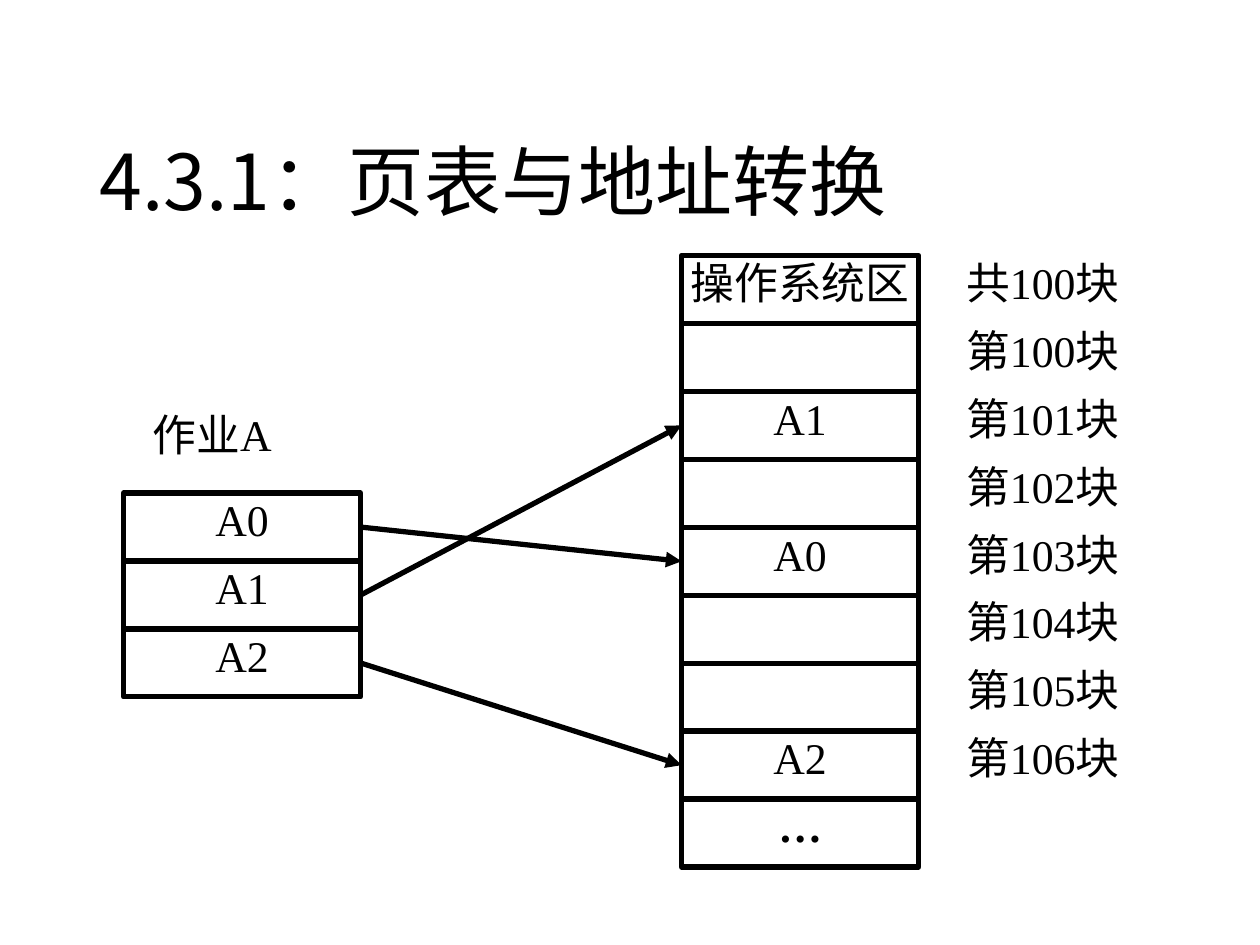
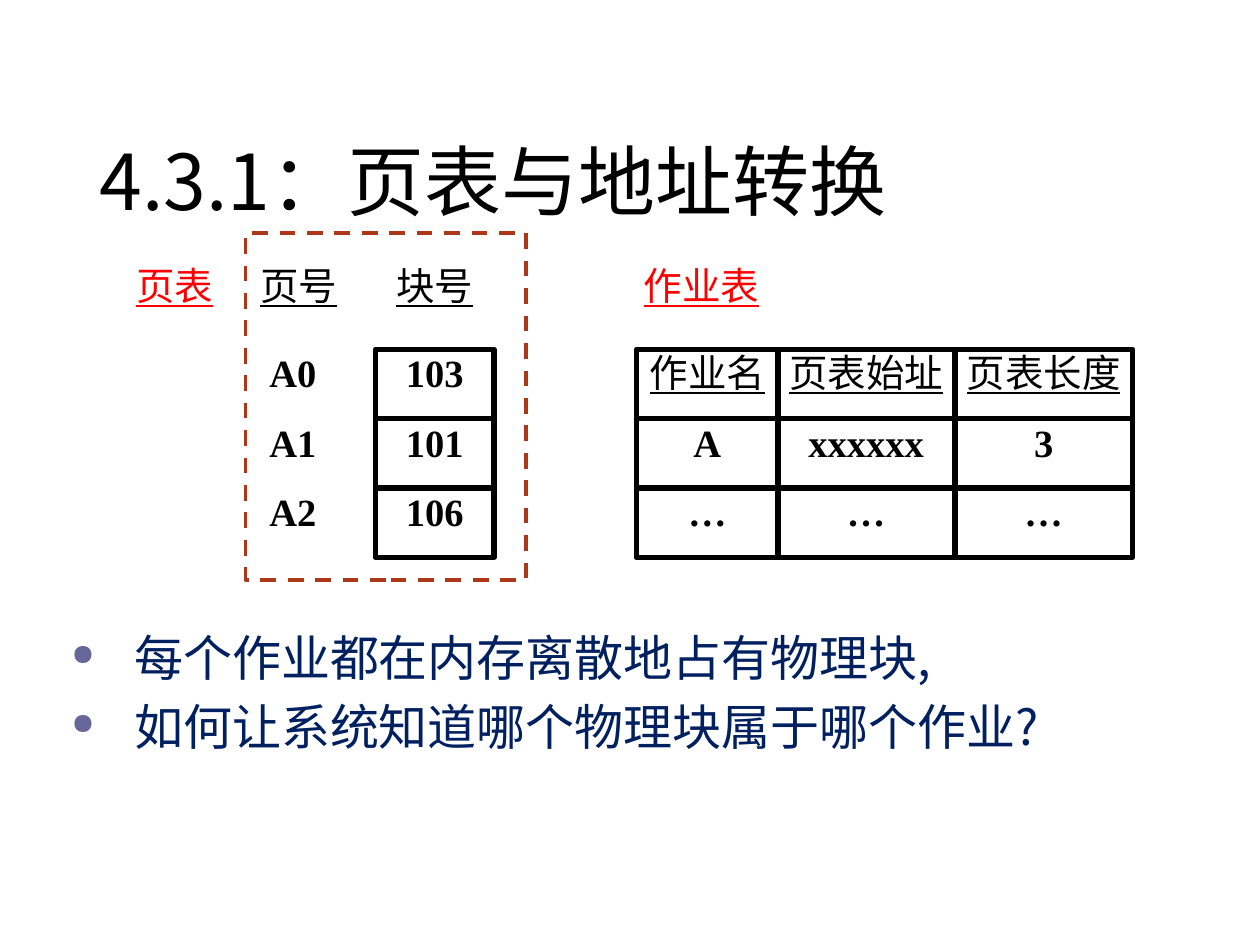
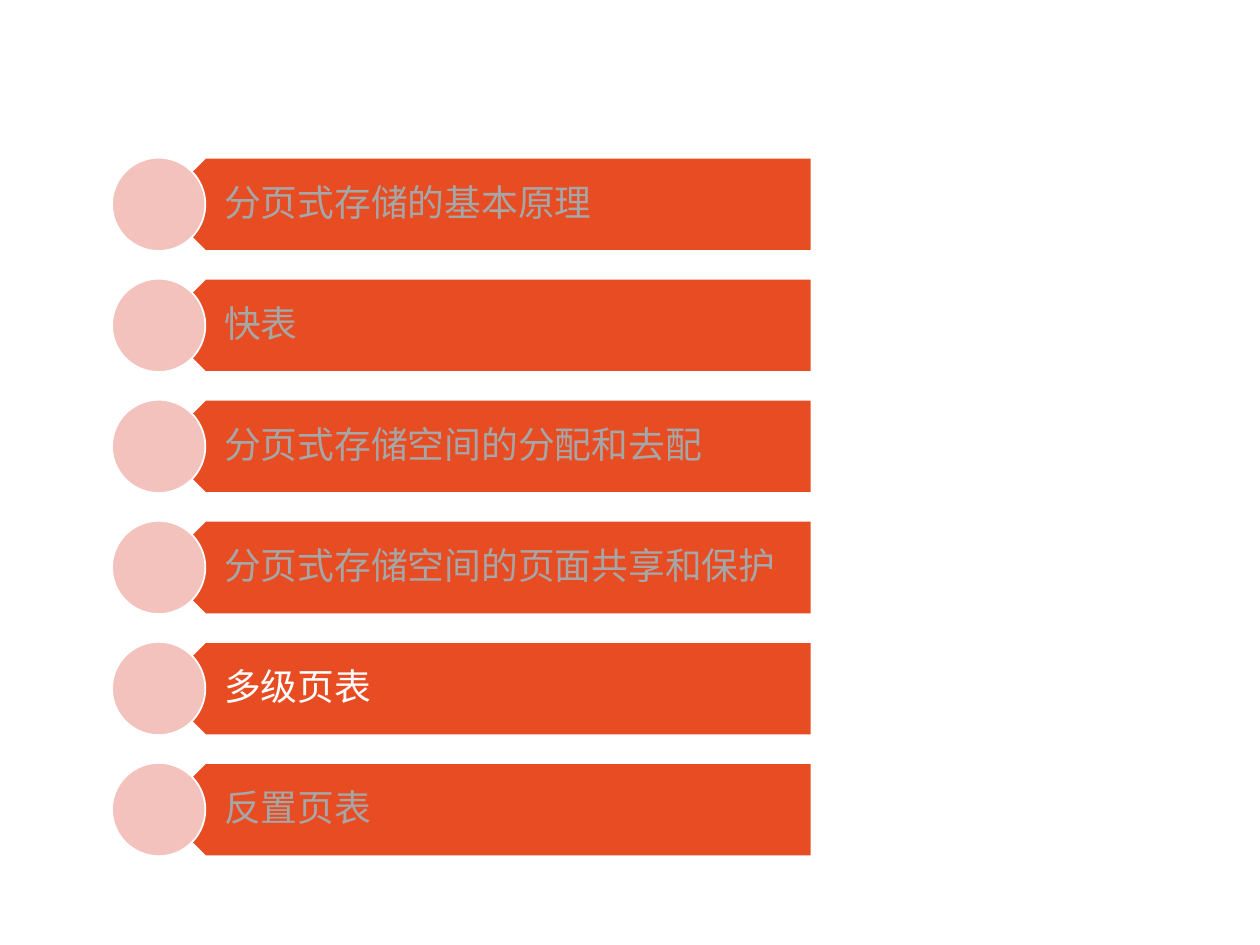
"""Build three slides on page tables and address translation."""
from lxml.etree import SubElement
from pptx import Presentation
from pptx.dml.color import RGBColor
from pptx.enum.dml import MSO_LINE as Dash
from pptx.enum.shapes import MSO_CONNECTOR as Link, MSO_SHAPE as Preset
from pptx.enum.text import MSO_ANCHOR as Anchor, MSO_AUTO_SIZE as AutoSize, PP_ALIGN as Align
from pptx.oxml.ns import qn
from pptx.util import Cm, Pt

BLACK = RGBColor(0x00, 0x00, 0x00)
WHITE = RGBColor(0xFF, 0xFF, 0xFF)
RED = RGBColor(0xFF, 0x00, 0x00)
NAVY = RGBColor(0x00, 0x20, 0x60)
RUST = RGBColor(0xAC, 0x38, 0x19)
ORANGE = RGBColor(0xE8, 0x4C, 0x22)
PINK = RGBColor(0xF4, 0xC2, 0xBD)
GREY = RGBColor(0xA6, 0xA6, 0xA6)
SANS, SERIF, LATIN = "Noto Sans CJK SC", "Times New Roman", "Calibri"
TITLE_ONLY, BLANK = 5, 6
TITLE = "4.3.1：页表与地址转换"


class Deck:
    def __init__(self):
        self.prs = Presentation()
        self.prs.slide_width, self.prs.slide_height = Cm(25.4), Cm(19.05)
        self.slide = None
        self.size = 25

    def new_slide(self, title=None, size=25):
        layout = TITLE_ONLY if title else BLANK
        self.slide = self.prs.slides.add_slide(self.prs.slide_layouts[layout])
        self.size = size
        if title:
            heading = self.slide.shapes.title
            heading.left, heading.top = Cm(1.75), Cm(1.02)
            heading.width, heading.height = Cm(21.89), Cm(3.68)
            frame = heading.text_frame
            frame.text = title
            frame.auto_size, frame.vertical_anchor = AutoSize.NONE, Anchor.BOTTOM
            frame.paragraphs[0].alignment = Align.LEFT
            frame.paragraphs[0].line_spacing = 0.9
            self.style(frame.paragraphs[0], 44, SANS, BLACK)

    def style(self, paragraph, size, face, color, bold=False, underline=False):
        for run in paragraph.runs:
            font = run.font
            font.size, font.name, font.bold, font.underline = Pt(size), face, bold, underline
            font.color.rgb = color
            SubElement(font._element, qn("a:ea"), typeface=SANS)

    def shape(self, preset, x, y, w, h, fill=None, line=BLACK, weight=3):
        item = self.slide.shapes.add_shape(preset, Cm(x), Cm(y), Cm(w), Cm(h))
        item.shadow.inherit = False
        if fill is None:
            item.fill.background()
        else:
            item.fill.solid()
            item.fill.fore_color.rgb = fill
        item.line.color.rgb, item.line.width = line, Pt(weight)
        return item

    def box(self, x, y, w, h):
        return self.slide.shapes.add_textbox(Cm(x), Cm(y), Cm(w), Cm(h))

    def put_text(self, item, text, color=BLACK, **look):
        frame = item.text_frame
        frame.margin_left = frame.margin_right = frame.margin_top = frame.margin_bottom = 0
        frame.word_wrap, frame.vertical_anchor = True, Anchor.TOP
        frame.text = text
        frame.paragraphs[0].alignment = Align.CENTER
        self.style(frame.paragraphs[0], self.size, SERIF, color, **look)

    def label(self, text, x, y, w, h, **look):
        self.put_text(self.box(x, y, w, h), text, **look)

    def cell(self, text, x, y, w, h, **look):
        item = self.shape(Preset.RECTANGLE, x, y, w, h)
        if text:
            self.put_text(item, text, **look)

    def arrow(self, x1, y1, x2, y2):
        link = self.slide.shapes.add_connector(Link.STRAIGHT, Cm(x1), Cm(y1), Cm(x2), Cm(y2))
        link.line.color.rgb, link.line.width = BLACK, Pt(3)
        props = link._element.spPr
        SubElement(props.find(qn("a:ln")), qn("a:tailEnd"), type="triangle")
        SubElement(props, qn("a:effectLst"))

    def bullets(self, lines, x, y, w, h):
        frame = self.box(x, y, w, h).text_frame
        frame.word_wrap = True
        for index, line in enumerate(lines):
            paragraph = frame.paragraphs[0] if index == 0 else frame.add_paragraph()
            paragraph.text = line
            paragraph.space_before = Pt(6 if index else 0)
            props = paragraph._p.get_or_add_pPr()
            props.set("marL", str(Cm(1.27)))
            props.set("indent", str(-Cm(1.27)))
            tint = SubElement(props, qn("a:buClr"))
            SubElement(tint, qn("a:srgbClr"), val="666699")
            SubElement(props, qn("a:buSzPct"), val="60000")
            SubElement(props, qn("a:buChar"), char="●")
            self.style(paragraph, 28, SANS, NAVY)

    def topic(self, text, y, color):
        bar = self.shape(Preset.PENTAGON, 3.2, y, 13.16, 1.88, ORANGE, WHITE, 1)
        bar.rotation = 180
        frame = self.box(3.68, y, 12.67, 1.88).text_frame
        frame.word_wrap, frame.vertical_anchor = True, Anchor.MIDDLE
        frame.margin_left, frame.margin_right = Cm(0.84), Cm(0.41)
        frame.margin_top = frame.margin_bottom = Cm(0.23)
        frame.text = text
        frame.paragraphs[0].line_spacing = 0.9
        self.style(frame.paragraphs[0], 21, LATIN, color)
        self.shape(Preset.OVAL, 2.26, y, 1.88, 1.88, PINK, WHITE, 1)


def memory_slide(deck):
    deck.new_slide(TITLE)
    row, width = 1.37, 4.78
    memory_x, memory_y, job_x, job_y = 13.74, 5.15, 2.49, 9.94
    blocks = ["操作系统区", "", "A1", "", "A0", "", "", "A2", "…"]
    pages = ["A0", "A1", "A2"]
    for index, block in enumerate(blocks):
        deck.cell(block, memory_x, memory_y + index * row, width, row, bold=block == "…")
    captions = ["共100块"] + [f"第{number}块" for number in range(100, 107)]
    for index, caption in enumerate(captions):
        deck.label(caption, 19.23, memory_y + index * row, 3.58, row)
    deck.label("作业A", job_x, 8.23, 3.58, row)
    for index, page in enumerate(pages):
        deck.cell(page, job_x, job_y + index * row, width, row)
        deck.arrow(job_x + width, job_y + (index + 0.5) * row,
                   memory_x, memory_y + (blocks.index(page) + 0.5) * row)


def page_table_slide(deck):
    deck.new_slide(TITLE, size=22)
    row, top, head_y = 1.4, 7.04, 5.28
    headings = [("页表", 2.57, 1.91, RED), ("页号", 5.18, 1.68, BLACK),
                ("块号", 7.57, 2.39, BLACK), ("作业表", 12.83, 2.62, RED)]
    for heading, x, width, color in headings:
        deck.label(heading, x, head_y, width, row, color=color, underline=True)
    for index, (page, block) in enumerate([("A0", "103"), ("A1", "101"), ("A2", "106")]):
        y = top + index * row
        deck.label(page, 4.95, y, 1.91, row, bold=True)
        deck.cell(block, 7.57, y, 2.39, row, bold=True)
    job_columns = [(12.83, 2.86, ["作业名", "A", "…"]),
                   (15.67, 3.58, ["页表始址", "xxxxxx", "…"]),
                   (19.25, 3.58, ["页表长度", "3", "…"])]
    for x, width, entries in job_columns:
        for index, entry in enumerate(entries):
            deck.cell(entry, x, top + index * row, width, row,
                      bold=index > 0, underline=index == 0)
    outline = deck.shape(Preset.RECTANGLE, 4.95, 4.7, 5.66, 6.99, line=RUST, weight=2.25)
    outline.line.dash_style = Dash.DASH
    deck.bullets(["每个作业都在内存离散地占有物理块,", "如何让系统知道哪个物理块属于哪个作业?"],
                 1.19, 12.52, 24.21, 2.87)


def topics_slide(deck):
    deck.new_slide()
    current = "多级页表"
    topics = ["分页式存储的基本原理", "快表", "分页式存储空间的分配和去配",
              "分页式存储空间的页面共享和保护", current, "反置页表"]
    for index, topic in enumerate(topics):
        deck.topic(topic, 3.18 + index * 2.44, WHITE if topic == current else GREY)


def main():
    deck = Deck()
    memory_slide(deck)
    page_table_slide(deck)
    topics_slide(deck)
    deck.prs.save("out.pptx")


if __name__ == "__main__":
    main()
